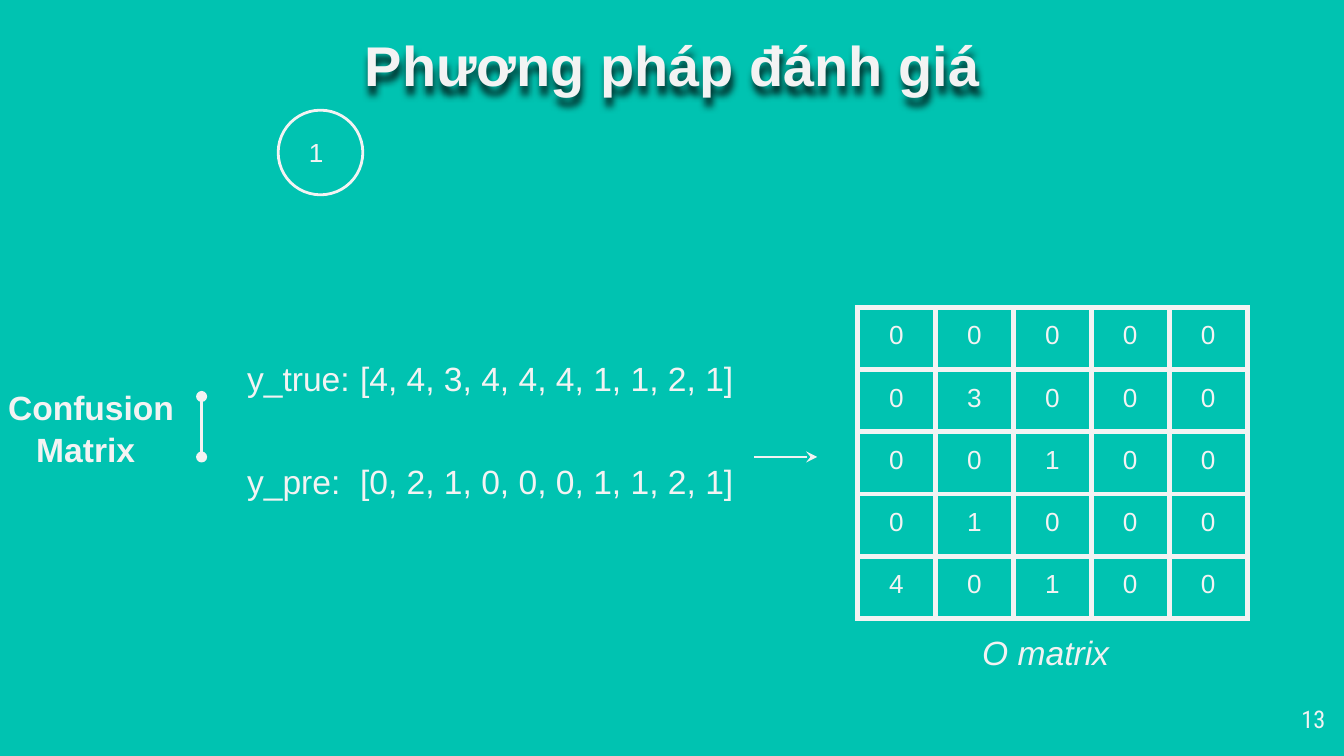
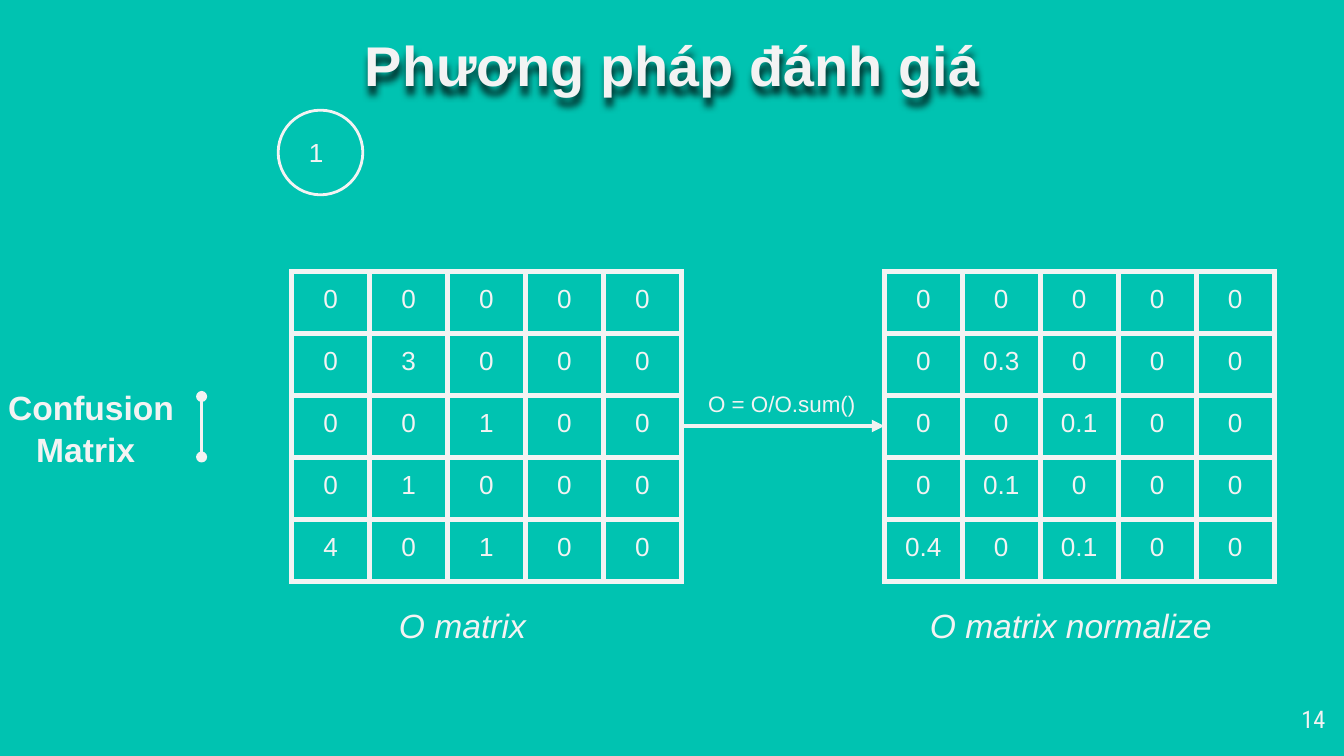
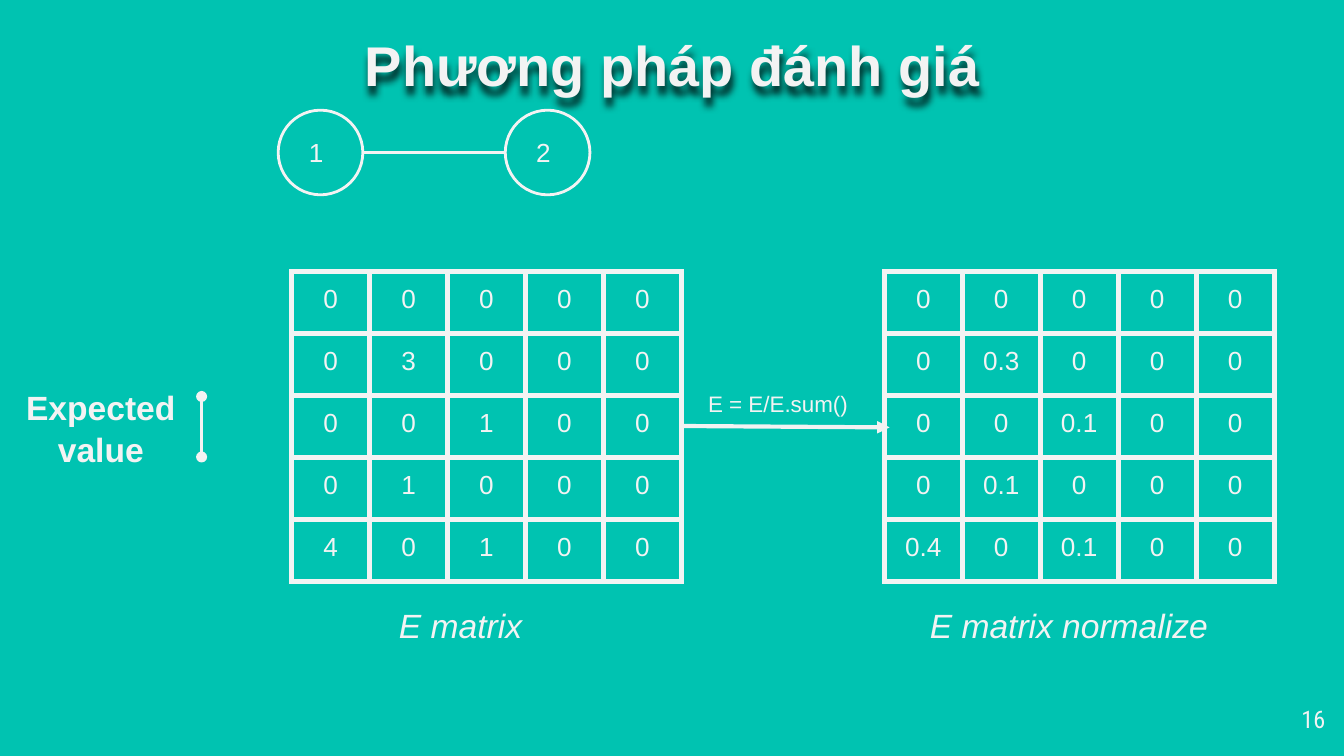
import dataclasses

import pptx
import pptx.dml.color
import pptx.enum.shapes
import pptx.enum.text
import pptx.oxml
import pptx.oxml.ns
import pptx.util

ALIGN = pptx.enum.text.PP_ALIGN
ANCHOR = pptx.enum.text.MSO_ANCHOR
AUTO_SIZE = pptx.enum.text.MSO_AUTO_SIZE
SHAPE = pptx.enum.shapes.MSO_SHAPE


@dataclasses.dataclass(frozen=True)
class Theme:
    """Colours, fonts, type sizes and line widths of the deck."""
    ground: str = "00C3B1"
    light: str = "F3F3F3"
    arrow: str = "F2F2F2"
    font: str = "Arial"
    number_font: str = "Roboto Condensed"
    title: int = 30
    label: int = 18
    cell: int = 14
    number: int = 13
    formula: int = 12
    thin: float = 1.5
    medium: float = 2.25
    thick: float = 3


THEME = Theme()
COLUMNS, ROWS = 100, 56.25
UNIT = pptx.util.Inches(0.1)
CELL_WIDTH, CELL_HEIGHT = 5.8, 4.62
TABLE_TOP, LEFT_TABLE, RIGHT_TABLE = 20.2, 21.7, 65.8
STEP_TOP, STEP_LEFT, STEP_PITCH, STEP_SIZE = 8.2, 20.7, 16.9, 6.3
TITLE = "Phương pháp đánh giá"
COUNTS = [
    [0, 0, 0, 0, 0],
    [0, 3, 0, 0, 0],
    [0, 0, 1, 0, 0],
    [0, 1, 0, 0, 0],
    [4, 0, 1, 0, 0],
]


def grid(*cells):
    """Turn grid columns and rows into lengths."""
    return [round(cell * UNIT) for cell in cells]


def rgb(colour):
    """Make a colour from its hex name."""
    return pptx.dml.color.RGBColor.from_string(colour)


def write(para, text, size, bold=False, italic=False, font=THEME.font, colour=THEME.light):
    """Add one formatted run to a paragraph."""
    span = para.add_run()
    span.text = text
    span.font.name = font
    span.font.size = pptx.util.Pt(size)
    span.font.bold = bold
    span.font.italic = italic
    span.font.color.rgb = rgb(colour)


def set_frame(frame, anchor=ANCHOR.TOP, side=1, edge=1):
    """Set the wrapping, anchor and insets of a text frame."""
    frame.word_wrap = True
    frame.auto_size = AUTO_SIZE.NONE
    frame.vertical_anchor = anchor
    frame.margin_left, frame.margin_right = grid(side, side)
    frame.margin_top, frame.margin_bottom = grid(edge, edge)


def add_text(page, place, text, size, align=ALIGN.LEFT, anchor=ANCHOR.TOP, edge=1, **style):
    """Add a one-paragraph text box."""
    box = page.shapes.add_textbox(*grid(*place))
    set_frame(box.text_frame, anchor, edge=edge)
    para = box.text_frame.paragraphs[0]
    para.alignment = align
    write(para, text, size, **style)
    return para


def add_vector(page, place, name, values):
    """Add a labelled list of values, aligned at a tab stop."""
    para = add_text(page, place, f"{name}:\t{values}", THEME.label)
    stops = pptx.oxml.parse_xml(
        f'<a:tabLst {pptx.oxml.ns.nsdecls("a")}>'
        f'<a:tab pos="{grid(8.4)[0]}" algn="l"/></a:tabLst>')
    para._p.get_or_add_pPr().append(stops)


def add_line(page, start, end, colour=THEME.light, width=THEME.thin, head=None, tail=None):
    """Add a straight line with optional ends."""
    line = page.shapes.add_connector(
        pptx.enum.shapes.MSO_CONNECTOR.STRAIGHT, *grid(*start, *end))
    line.line.color.rgb = rgb(colour)
    line.line.width = pptx.util.Pt(width)
    for tag, kind in (("headEnd", head), ("tailEnd", tail)):
        if kind:
            line.line._ln.append(pptx.oxml.parse_xml(
                f'<a:{tag} {pptx.oxml.ns.nsdecls("a")} type="{kind}"/>'))
    line._element.spPr.append(
        pptx.oxml.parse_xml(f'<a:effectLst {pptx.oxml.ns.nsdecls("a")}/>'))


def add_matrix(page, left, top, values):
    """Add a table of centred values with a heavy border."""
    count = len(values)
    frame = page.shapes.add_table(
        count, count, *grid(left, top, count * CELL_WIDTH, count * CELL_HEIGHT))
    table = frame.table
    table.first_row = table.horz_banding = False
    for row, row_values in zip(table.rows, values):
        for cell, value in zip(row.cells, row_values):
            cell.margin_left, cell.margin_right, cell.margin_top, cell.margin_bottom = grid(1, 1, 1, 1)
            para = cell.text_frame.paragraphs[0]
            para.alignment = ALIGN.CENTER
            write(para, f"{value:g}", THEME.cell)
            for side in ("lnL", "lnR", "lnT", "lnB"):
                cell._tc.get_or_add_tcPr().append(pptx.oxml.parse_xml(
                    f'<a:{side} {pptx.oxml.ns.nsdecls("a")} w="{pptx.util.Pt(THEME.thick)}">'
                    f'<a:solidFill><a:srgbClr val="{THEME.light}"/></a:solidFill></a:{side}>'))
            cell.fill.background()


def add_title(page):
    """Fill the title placeholder and give it a soft shadow."""
    title = page.shapes.title
    title.left, title.top, title.width, title.height = grid(7.9, 1.3, 84.3, 6.3)
    set_frame(title.text_frame)
    para = title.text_frame.paragraphs[0]
    para.alignment = ALIGN.CENTER
    write(para, TITLE, THEME.title, bold=True)
    title._element.spPr.append(pptx.oxml.parse_xml(
        f'<a:effectLst {pptx.oxml.ns.nsdecls("a")}>'
        '<a:outerShdw blurRad="50800" dist="50800" dir="5400000" algn="t" rotWithShape="0">'
        '<a:srgbClr val="000000"><a:alpha val="80000"/></a:srgbClr>'
        '</a:outerShdw></a:effectLst>'))


def add_topic(page, left, lines, align=ALIGN.LEFT, indent=0):
    """Add the topic name and the bar beside it."""
    box = page.shapes.add_textbox(*grid(left, 28, 16.8, 7.5))
    frame = box.text_frame
    set_frame(frame, ANCHOR.MIDDLE, side=0, edge=0)
    for index, text in enumerate(lines):
        para = frame.add_paragraph() if index else frame.paragraphs[0]
        para.alignment = align
        para.line_spacing = 1.06
        if index:
            para._p.get_or_add_pPr().set("marL", str(grid(indent)[0]))
        write(para, text, THEME.label, bold=True)
    add_line(page, (15, 34), (15, 29.5), head="oval", tail="oval")


def add_steps(page, count):
    """Add numbered circles joined by lines."""
    middle = STEP_TOP + STEP_SIZE / 2
    for index in range(count):
        left = STEP_LEFT + index * STEP_PITCH
        circle = page.shapes.add_shape(
            SHAPE.OVAL, *grid(left, STEP_TOP, STEP_SIZE, STEP_SIZE))
        circle.shadow.inherit = False
        circle.fill.background()
        circle.line.color.rgb = rgb(THEME.light)
        circle.line.width = pptx.util.Pt(THEME.thin)
        if index:
            add_line(page, (left - STEP_PITCH + STEP_SIZE, middle), (left, middle))
        add_text(page, (left + 1.3, STEP_TOP + 0.9, 3.6, 4.4), str(index + 1),
                 THEME.cell, anchor=ANCHOR.MIDDLE)


def add_page(deck, number, steps):
    """Add a page with its title, steps and number."""
    page = deck.slides.add_slide(deck.slide_layouts[5])
    add_title(page)
    add_steps(page, steps)
    add_text(page, (93.6, 51.9, 6, 4.3), str(number), THEME.number,
             align=ALIGN.RIGHT, edge=0.5, font=THEME.number_font)
    return page


def add_normalizing(page, letter, arrow_end):
    """Show a matrix turned into its normalized form."""
    add_matrix(page, RIGHT_TABLE, TABLE_TOP, [[value / 10 for value in row] for row in COUNTS])
    add_matrix(page, LEFT_TABLE, TABLE_TOP, COUNTS)
    add_line(page, (50.7, 31.7), arrow_end, THEME.arrow, THEME.medium, tail="triangle")
    add_text(page, (51.7, 28, 13.5, 4), f"{letter} = {letter}/{letter}.sum()", THEME.formula)
    add_text(page, (28.7, 44, 15.5, 5), f"{letter} matrix", THEME.label, italic=True)
    add_text(page, (68.2, 44, 25.1, 5), f"{letter} matrix normalize", THEME.label, italic=True)


def add_confusion_topic(page):
    """Add the topic shared by the confusion matrix pages."""
    add_topic(page, 0.6, ["Confusion", "Matrix"], indent=2.1)


def main():
    """Build and save the deck."""
    deck = pptx.Presentation()
    deck.slide_width, deck.slide_height = grid(COLUMNS, ROWS)
    ground = deck.slide_master.background.fill
    ground.solid()
    ground.fore_color.rgb = rgb(THEME.ground)

    page = add_page(deck, 13, 1)
    add_confusion_topic(page)
    add_vector(page, (17.4, 25.6, 40.1, 5), "y_true", [4, 4, 3, 4, 4, 4, 1, 1, 2, 1])
    add_vector(page, (17.4, 33.3, 40.1, 5), "y_pre", [0, 2, 1, 0, 0, 0, 1, 1, 2, 1])
    add_line(page, (60.8, 34), (56.1, 34), THEME.arrow, head="stealth")
    add_matrix(page, 63.8, 22.9, COUNTS)
    add_text(page, (72.1, 46, 12.3, 5), "O matrix", THEME.label,
             italic=True, colour=THEME.arrow)

    page = add_page(deck, 14, 1)
    add_confusion_topic(page)
    add_normalizing(page, "O", (65.8, 31.7))

    page = add_page(deck, 16, 2)
    add_topic(page, -0.9, ["Expected value"], align=ALIGN.CENTER)
    add_normalizing(page, "E", (66.2, 31.8))

    deck.save("out.pptx")


if __name__ == "__main__":
    main()
